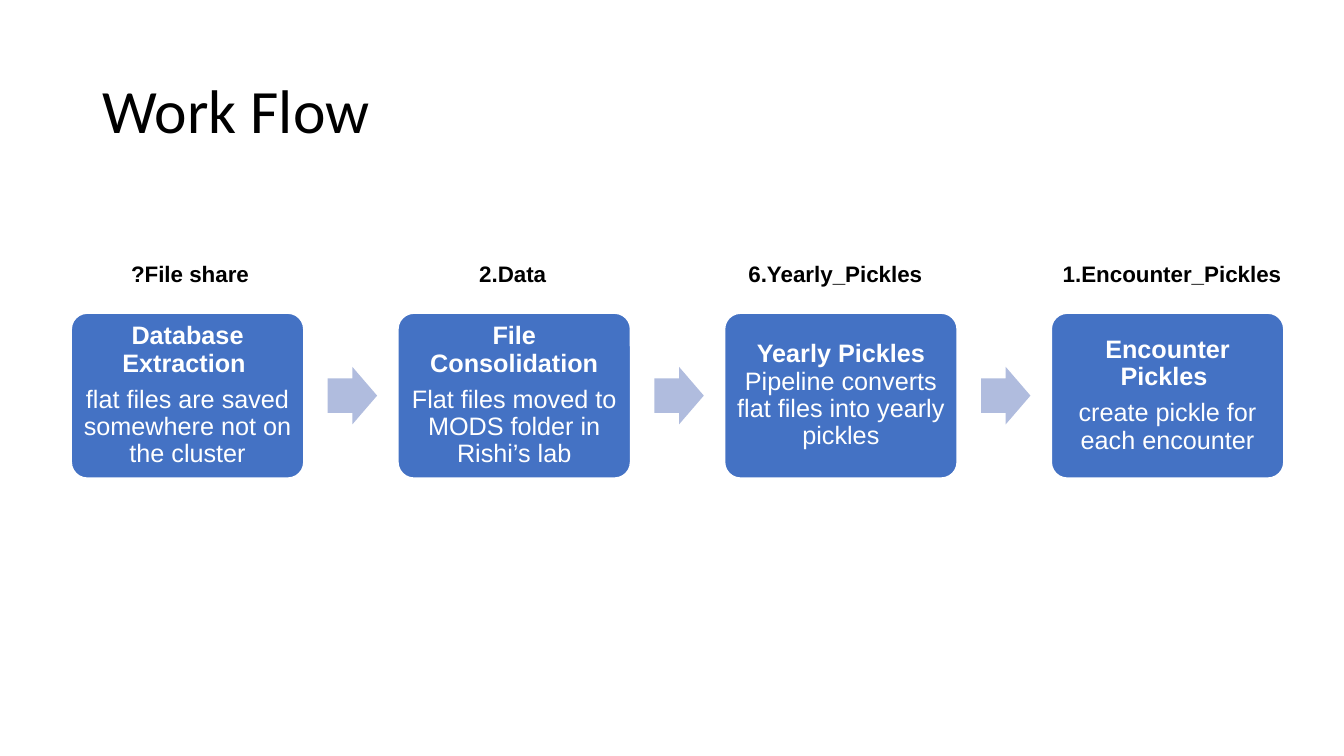
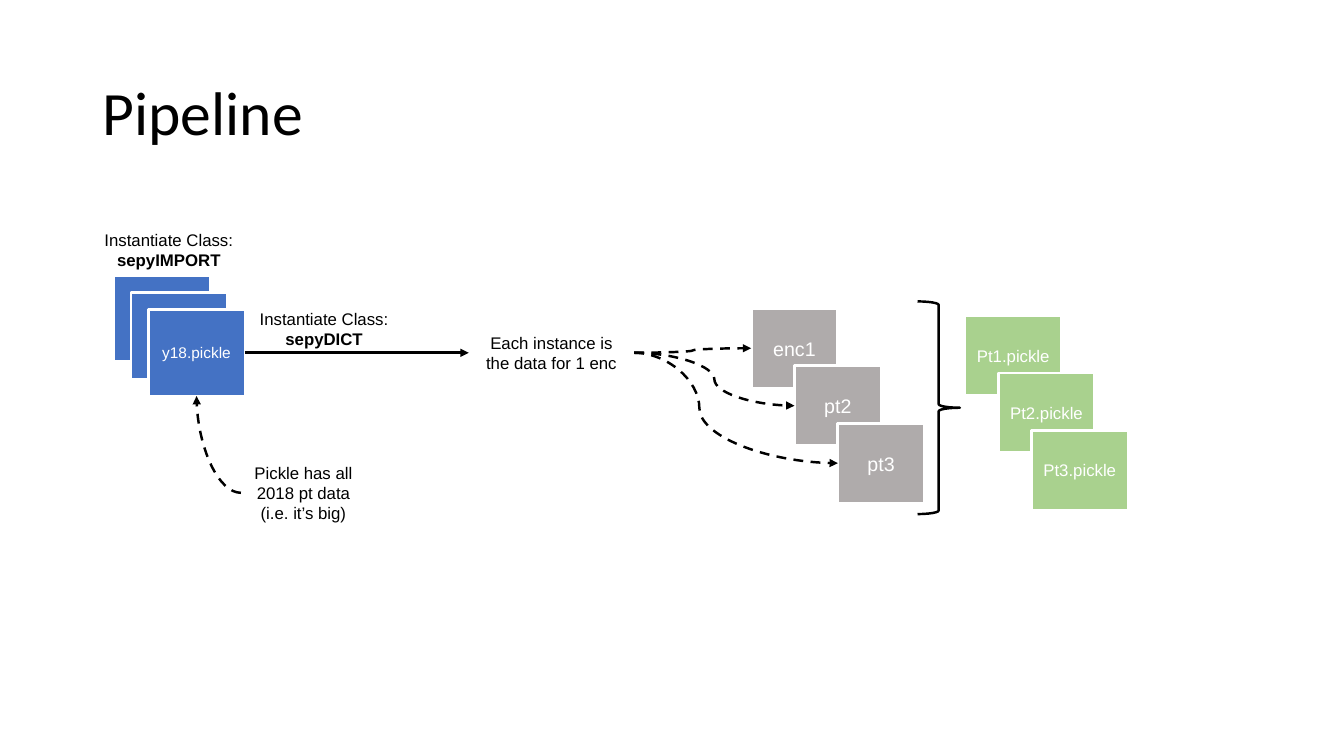
from dataclasses import dataclass

from lxml import etree
from pptx import Presentation
from pptx.dml.color import RGBColor
from pptx.enum.dml import MSO_LINE
from pptx.enum.shapes import MSO_CONNECTOR, MSO_SHAPE
from pptx.enum.text import MSO_ANCHOR, PP_ALIGN
from pptx.oxml.ns import qn
from pptx.shapes.autoshape import Shape
from pptx.slide import Slide
from pptx.text.text import TextFrame
from pptx.util import Inches, Pt

RECT, ROUND = MSO_SHAPE.RECTANGLE, MSO_SHAPE.ROUNDED_RECTANGLE
ARROW, BRACE = MSO_SHAPE.RIGHT_ARROW, MSO_SHAPE.RIGHT_BRACE
LINE, CURVE = MSO_CONNECTOR.STRAIGHT, MSO_CONNECTOR.CURVE
LEFT, CENTER = PP_ALIGN.LEFT, PP_ALIGN.CENTER
TOP, MIDDLE = MSO_ANCHOR.TOP, MSO_ANCHOR.MIDDLE
DASH = MSO_LINE.DASH

BLACK, WHITE = "000000", "FFFFFF"
BLUE, PALE, GRAY, GREEN = "4472C4", "B0BCDE", "AFABAB", "A9D18E"
BODY, HEAD = "Arial", "Calibri"

Box = tuple[float, float, float, float]
Point = tuple[float, float]


@dataclass(frozen=True)
class Grid:
    """Equal cells, each a fixed step from the one before, in inches."""
    left: float
    top: float
    wide: float
    high: float
    right: float = 0
    down: float = 0

    def cell(self, i: int) -> Box:
        return (self.left + i * self.right, self.top + i * self.down,
                self.wide, self.high)

    def port(self, i: int) -> Point:
        """Middle of the left edge of a cell."""
        x, y, _, high = self.cell(i)
        return x, y + high / 2


@dataclass(frozen=True)
class Step:
    label: str
    paras: tuple[str, ...]
    wide: float = 2.25


@dataclass(frozen=True)
class Stack:
    grid: Grid
    fill: str
    size: float
    names: tuple[str, ...]


@dataclass(frozen=True)
class Note:
    box: Box
    words: str


STEPS = (
    Step("?File share", ("*Database Extraction *",
                         "flat files are saved somewhere not on the cluster")),
    Step("2.Data", ("*File Consolidation*",
                    "Flat files moved to MODS folder in Rishi’s lab")),
    Step("6.Yearly_Pickles", ("*Yearly Pickles *Pipeline converts flat files "
                              "into yearly pickles",)),
    Step("1.Encounter_Pickles", ("*Encounter Pickles *",
                                 "create pickle for each encounter"), 2.53),
)
CARDS = Grid(0.7, 3.1, 2.32, 1.65, right=3.24)
ARROWS = Grid(3.25, 3.64, 0.49, 0.57, right=3.24)
LABELS = Grid(0.76, 2.53, 2.25, 0.37, right=3.2)

YEARS = Grid(1.13, 2.73, 0.96, 0.86, right=0.17, down=0.17)
VISITS = Grid(7.45, 3.06, 0.86, 0.79, right=0.43, down=0.57)
FILES = Grid(9.57, 3.13, 0.96, 0.79, right=0.33, down=0.57)
STACKS = (
    Stack(YEARS, BLUE, 11, ("", "", "y18.pickle")),
    Stack(VISITS, GRAY, 14, ("enc1", "pt2", "pt3")),
    Stack(FILES, GREEN, 12, ("Pt1.pickle", "Pt2.pickle", "Pt3.pickle")),
)
NOTES = (
    Note((0.92, 2.23, 1.51, 0.5), "Instantiate Class: *sepyIMPORT*"),
    Note((2.39, 4.54, 1.24, 0.71), "Pickle has all 2018 pt data (i.e. it’s big)"),
    Note((2.46, 3.01, 1.51, 0.5), "Instantiate Class: *sepyDICT*"),
    Note((4.65, 3.25, 1.64, 0.5), "Each instance is the data for 1 enc"),
)
BENDS = (0.5, 0.5, 0.32)


def paint(code: str) -> RGBColor:
    return RGBColor.from_string(code)


def write(frame: TextFrame, *paras: str, size: float, color: str = BLACK,
          font: str = BODY, align: PP_ALIGN = CENTER, anchor: MSO_ANCHOR = TOP,
          lead: float = 1, after: float = 0, inset: Point = (0.1, 0.05)) -> None:
    """Fill a frame; words between asterisks are bold."""
    frame.word_wrap = True
    frame.vertical_anchor = anchor
    frame.margin_left = frame.margin_right = Inches(inset[0])
    frame.margin_top = frame.margin_bottom = Inches(inset[1])
    for i, words in enumerate(paras):
        para = frame.add_paragraph() if i else frame.paragraphs[0]
        para.alignment, para.line_spacing = align, lead
        para.space_after = Pt(after)
        for j, part in enumerate(words.split("*")):
            if part:
                run = para.add_run()
                run.text = part
                run.font.name, run.font.size = font, Pt(size)
                run.font.bold = j % 2 == 1
                run.font.color.rgb = paint(color)


def label(slide: Slide, box: Box, words: str, **form) -> None:
    frame = slide.shapes.add_textbox(*map(Inches, box)).text_frame
    write(frame, words, **form)


def draw(slide: Slide, kind: MSO_SHAPE, box: Box, fill: str = "",
         line: str = "", width: float = 2,
         adjust: tuple[float, ...] = ()) -> Shape:
    shape = slide.shapes.add_shape(kind, *map(Inches, box))
    shape.shadow.inherit = False
    if fill:
        shape.fill.solid()
        shape.fill.fore_color.rgb = paint(fill)
    else:
        shape.fill.background()
    if line:
        shape.line.color.rgb = paint(line)
        shape.line.width = Pt(width)
    else:
        shape.line.fill.background()
    for i, value in enumerate(adjust):
        shape.adjustments[i] = value
    return shape


def link(slide: Slide, start: Point, end: Point, kind: MSO_CONNECTOR = CURVE,
         width: float = 1.75, bend: float = 0.5, quarter: bool = False) -> None:
    """Draw an arrow; curves are dashed, and a quarter curve turns once."""
    wire = slide.shapes.add_connector(kind, *map(Inches, start + end))
    wire.line.color.rgb = paint(BLACK)
    wire.line.width = Pt(width)
    props = wire._element.spPr
    if kind == CURVE:
        wire.line.dash_style = DASH
        shape = props.find(qn("a:prstGeom"))
        if quarter:
            shape.set("prst", "curvedConnector2")
        else:
            guide = etree.SubElement(shape.find(qn("a:avLst")), qn("a:gd"))
            guide.set("name", "adj1")
            guide.set("fmla", f"val {round(bend * 100000)}")
    tip = etree.SubElement(props.find(qn("a:ln")), qn("a:tailEnd"))
    tip.set("type", "triangle")
    etree.SubElement(props, qn("a:effectLst"))


def start(deck: Presentation, title: str, top: float) -> Slide:
    slide = deck.slides.add_slide(deck.slide_layouts[6])
    label(slide, (0.92, top, 11.5, 1.45), title, size=44, font=HEAD,
          align=LEFT, anchor=MIDDLE, lead=0.9)
    return slide


def flow(deck: Presentation) -> None:
    slide = start(deck, "Work Flow", 0.4)
    for i, step in enumerate(STEPS):
        card = draw(slide, ROUND, CARDS.cell(i), BLUE, WHITE, adjust=(0.1,))
        write(card.text_frame, *step.paras, size=18, color=WHITE,
              anchor=MIDDLE, lead=0.9, after=6.3, inset=(0.07, 0.07))
        if i < len(STEPS) - 1:
            draw(slide, ARROW, ARROWS.cell(i), PALE, adjust=(0.6, 0.5))
        x, y, _, high = LABELS.cell(i)
        label(slide, (x, y, step.wide, high), f"*{step.label}*", size=16)


def pipe(deck: Presentation) -> None:
    slide = start(deck, "Pipeline", 0.42)
    # Stacked squares
    for stack in STACKS:
        for i, name in enumerate(stack.names):
            tile = draw(slide, RECT, stack.grid.cell(i), stack.fill, WHITE)
            if name:
                write(tile.text_frame, name, size=stack.size, color=WHITE,
                      anchor=MIDDLE)
    for note in NOTES:
        label(slide, note.box, note.words, size=12)
    # Arrows and brace
    x, y, wide, high = YEARS.cell(2)
    mid = y + high / 2
    link(slide, (x + wide, mid), (4.65, mid), LINE, width=2)
    link(slide, (2.39, 4.89), (x + wide / 2, y + high), quarter=True)
    for i, bend in enumerate(BENDS):
        link(slide, (6.29, mid), VISITS.port(i), bend=bend)
    draw(slide, BRACE, (9.1, 2.99, 0.42, 2.11), line=BLACK, width=1.75)


def main() -> None:
    deck = Presentation()
    deck.slide_width, deck.slide_height = Inches(13.33), Inches(7.5)
    flow(deck)
    pipe(deck)
    deck.save("out.pptx")


if __name__ == "__main__":
    main()
